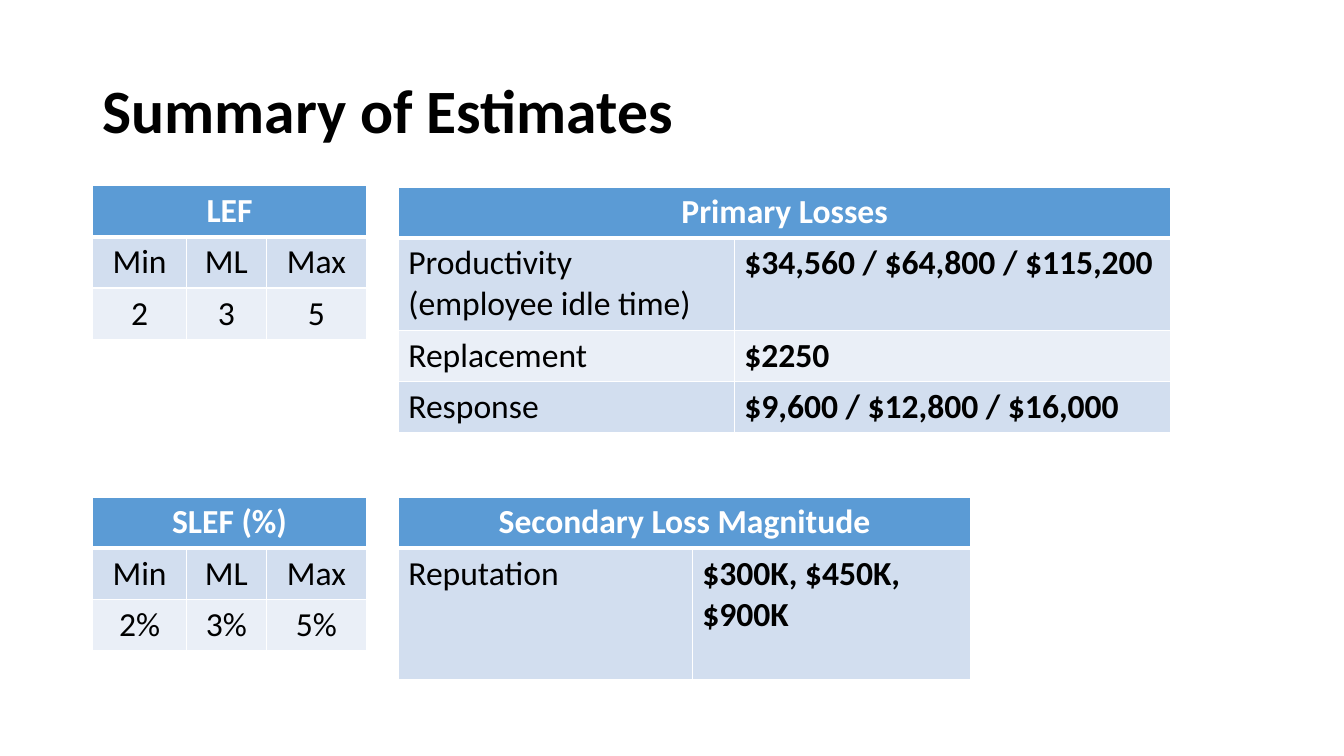
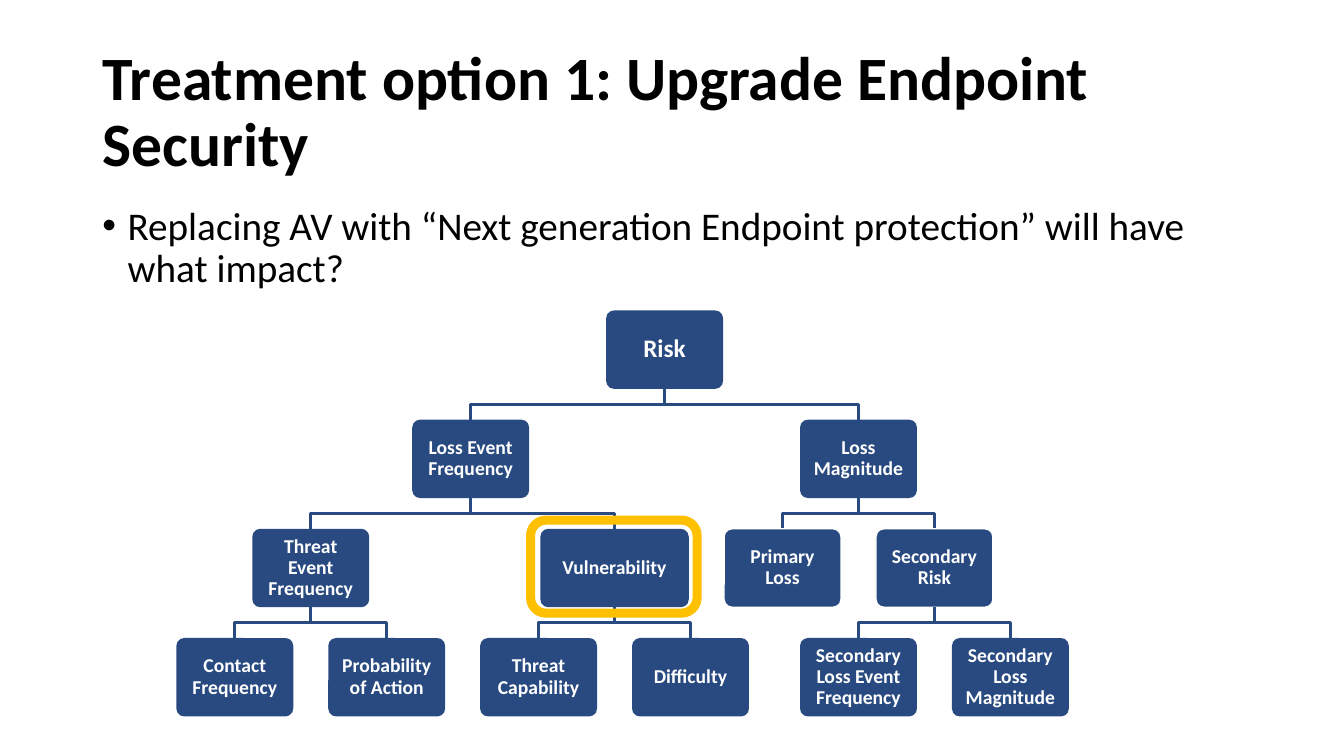
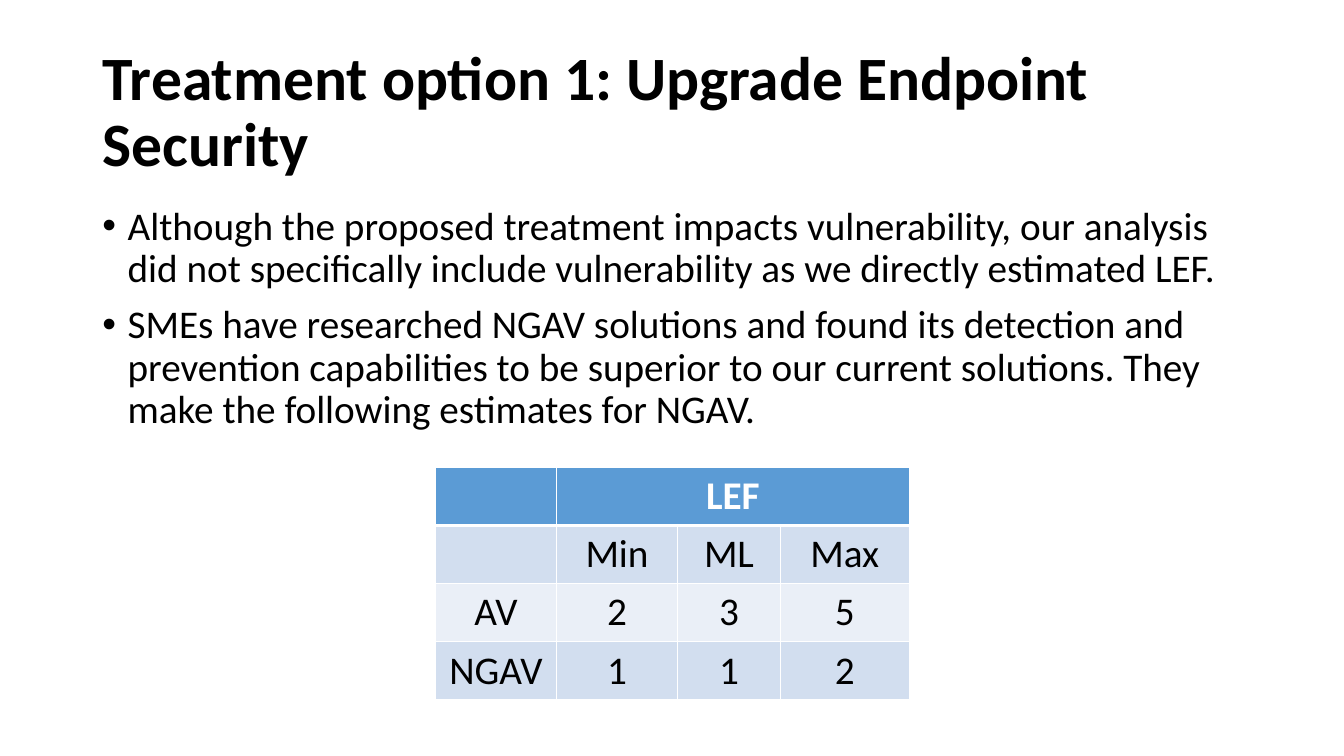
from lxml.etree import SubElement
from pptx import Presentation
from pptx.dml.color import RGBColor
from pptx.enum.shapes import MSO_SHAPE
from pptx.enum.text import MSO_ANCHOR, MSO_AUTO_SIZE, PP_ALIGN
from pptx.oxml.ns import qn
from pptx.util import Pt

NAVY, GOLD, BLUE = "294A80", "FFC000", "5B9BD5"
BANDS = ["EAEFF7", "D2DEEF"]
WHITE, BLACK = "FFFFFF", "000000"


def color(target, value):
    target.rgb = RGBColor.from_string(value)


def write(frame, text, ink, frame_format, para_format, font_format):
    frame.text = text
    for name, value in frame_format.items():
        setattr(frame, name, value)
    for para in frame.paragraphs:
        for name, value in para_format.items():
            setattr(para, name, value)
        for span in para.runs:
            for name, value in font_format.items():
                setattr(span.font, name, value)
            color(span.font.color, ink)


deck = Presentation()
deck.slide_width, deck.slide_height = Pt(960), Pt(540)

TREATMENT = "Treatment option 1: Upgrade Endpoint Security"
pages = [
    ("Summary of Estimates", []),
    (TREATMENT, ["Replacing AV with “Next generation Endpoint protection” will have what impact?"]),
    (TREATMENT, [
        "Although the proposed treatment impacts vulnerability, our analysis did not specifically "
        "include vulnerability as we directly estimated LEF.",
        "SMEs have researched NGAV solutions and found its detection and prevention capabilities "
        "to be superior to our current solutions. They make the following estimates for NGAV.",
    ]),
]

TITLE_PLACE = {"left": Pt(66), "top": Pt(28.75), "width": Pt(828), "height": Pt(104.4)}
BODY_PLACE = {"left": Pt(66), "top": Pt(143.75), "width": Pt(828), "height": Pt(342.6)}
TITLE_FRAME = {"vertical_anchor": MSO_ANCHOR.MIDDLE, "auto_size": MSO_AUTO_SIZE.NONE, "word_wrap": True}
BODY_FRAME = {**TITLE_FRAME, "vertical_anchor": MSO_ANCHOR.TOP}
LEFT_PARA = {"alignment": PP_ALIGN.LEFT, "line_spacing": 0.9, "space_before": Pt(0)}

for title, bullets in pages:
    page = deck.slides.add_slide(deck.slide_layouts[1 if bullets else 5])
    for name, value in TITLE_PLACE.items():
        setattr(page.shapes.title, name, value)
    write(page.shapes.title.text_frame, title, BLACK, TITLE_FRAME, LEFT_PARA,
          {"name": "Calibri", "size": Pt(44), "bold": True})
    if bullets:
        body = page.placeholders[1]
        for name, value in BODY_PLACE.items():
            setattr(body, name, value)
        write(body.text_frame, "\n".join(bullets), BLACK, BODY_FRAME, LEFT_PARA,
              {"name": "Calibri", "size": Pt(28)})
        for index, para in enumerate(body.text_frame.paragraphs):
            properties = para._p.get_or_add_pPr()
            properties.set("marL", str(Pt(18)))
            properties.set("indent", str(-Pt(18)))
            if index:
                para.space_before = Pt(10)

summary, treatment, estimates = deck.slides

LEVELS = ["Min", "ML", "Max"]
LEVEL_WIDTHS = [67, 57, 71.5]
tables = [
    {"page": summary, "at": (284.5, 133.5), "size": 24, "columns": [240, 312], "rows": [36.5, 65.5, 36.5, 36.5],
     "losses": True, "cells": [
         ["Primary Losses", ""],
         ["Productivity\n(employee idle time)", "$34,560 / $64,800 / $115,200"],
         ["Replacement", "$2250"],
         ["Response", "$9,600 / $12,800 / $16,000"]]},
    {"page": summary, "at": (66.25, 132.75), "size": 24, "columns": LEVEL_WIDTHS, "rows": [36.5] * 3,
     "cells": [["LEF", "", ""], LEVELS, ["2", "3", "5"]]},
    {"page": summary, "at": (66.25, 355), "size": 24, "columns": LEVEL_WIDTHS, "rows": [36.5] * 3,
     "cells": [["SLEF (%)", "", ""], LEVELS, ["2%", "3%", "5%"]]},
    {"page": summary, "at": (284.5, 355), "size": 24, "columns": [210, 199], "rows": [36.5, 94],
     "losses": True, "cells": [["Secondary Loss Magnitude", ""], ["Reputation", "$300K, $450K, $900K"]]},
    {"page": estimates, "at": (311, 334), "size": 28, "columns": [86.5, 86.5, 73.5, 92], "rows": [41.4] * 4,
     "merge_from": 1, "cells": [
         ["", "LEF", "", ""], ["", *LEVELS], ["AV", "2", "3", "5"], ["NGAV", "1", "1", "2"]]},
]

for entry in tables:
    cells, columns, rows = entry["cells"], entry["columns"], entry["rows"]
    left, top = entry["at"]
    losses = entry.get("losses", False)
    table = entry["page"].shapes.add_table(
        len(rows), len(columns), Pt(left), Pt(top), Pt(sum(columns)), Pt(sum(rows))).table
    for column, width in zip(table.columns, columns):
        column.width = Pt(width)
    for row, height in zip(table.rows, rows):
        row.height = Pt(height)
    table.cell(0, entry.get("merge_from", 0)).merge(table.cell(0, len(columns) - 1))
    for row_index, texts in enumerate(cells):
        header = row_index == 0
        for column_index, text in enumerate(texts):
            cell = table.cell(row_index, column_index)
            centred = header or not losses
            write(cell.text_frame, text, WHITE if header else BLACK, {},
                  {"alignment": PP_ALIGN.CENTER if centred else PP_ALIGN.LEFT},
                  {"name": "Calibri", "size": Pt(entry["size"]),
                   "bold": header or (losses and column_index == 1)})
            properties = cell._tc.get_or_add_tcPr()
            widths = {"lnL": 1, "lnR": 1, "lnT": 3 if row_index == 1 else 1, "lnB": 3 if header else 1}
            for side, width in widths.items():
                border = SubElement(properties, qn("a:" + side), w=str(Pt(width)))
                SubElement(SubElement(border, qn("a:solidFill")), qn("a:srgbClr"), val=WHITE)
            cell.fill.solid()
            color(cell.fill.fore_color, BLUE if header else BANDS[row_index % 2])

BOX_WIDTH, BOX_HEIGHT, WIDE_BOX = 83.5, 56, 106
TREE_TOP, LEVEL_PITCH = 221.75, 78
nodes = {
    "Risk": (474.75, 0, None),
    "Loss Event Frequency": (336.25, 1, "Risk"),
    "Loss Magnitude": (613.25, 1, "Risk"),
    "Threat Event Frequency": (222, 2, "Loss Event Frequency"),
    "Vulnerability": (439, 2, "Loss Event Frequency"),
    "Primary Loss": (559, 2, "Loss Magnitude"),
    "Secondary Risk": (667.5, 2, "Loss Magnitude"),
    "Contact Frequency": (167.75, 3, "Threat Event Frequency"),
    "Probability of Action": (276.25, 3, "Threat Event Frequency"),
    "Threat Capability": (384.75, 3, "Vulnerability"),
    "Difficulty": (493.25, 3, "Vulnerability"),
    "Secondary Loss Event Frequency": (613.25, 3, "Secondary Risk"),
    "Secondary Loss Magnitude": (721.75, 3, "Secondary Risk"),
}
BOX_FRAME = {"word_wrap": True, "vertical_anchor": MSO_ANCHOR.MIDDLE, "margin_left": Pt(6),
             "margin_right": Pt(6), "margin_top": Pt(4), "margin_bottom": Pt(4)}

for label, (centre, level, parent) in nodes.items():
    top = TREE_TOP + level * LEVEL_PITCH
    if parent:
        start = top - LEVEL_PITCH + BOX_HEIGHT
        middle = (start + top) / 2
        parent_centre = nodes[parent][0]
        builder = treatment.shapes.build_freeform(Pt(parent_centre), Pt(start))
        builder.add_line_segments(
            [(Pt(parent_centre), Pt(middle)), (Pt(centre), Pt(middle)), (Pt(centre), Pt(top))], close=False)
        branch = builder.convert_to_shape()
        branch.shadow.inherit = False
        branch.fill.background()
        branch.line.width = Pt(2.25)
        color(branch.line.color, NAVY)
    width = WIDE_BOX if label == "Vulnerability" else BOX_WIDTH
    box = treatment.shapes.add_shape(
        MSO_SHAPE.ROUNDED_RECTANGLE, Pt(centre - width / 2), Pt(top), Pt(width), Pt(BOX_HEIGHT))
    box.adjustments[0] = 0.1
    box.shadow.inherit = False
    box.fill.solid()
    color(box.fill.fore_color, NAVY)
    if label in ("Primary Loss", "Secondary Risk"):
        box.line.width = Pt(1)
        color(box.line.color, WHITE)
    else:
        box.line.fill.background()
    write(box.text_frame, label, WHITE, BOX_FRAME, {"alignment": PP_ALIGN.CENTER, "line_spacing": 0.9},
          {"name": "Calibri", "size": Pt(14 if parent else 18), "bold": True})

highlight = treatment.shapes.add_shape(
    MSO_SHAPE.ROUNDED_RECTANGLE, Pt(379), Pt(371.5), Pt(119), Pt(66.5))
highlight.shadow.inherit = False
highlight.fill.background()
highlight.line.width = Pt(6.5)
color(highlight.line.color, GOLD)

deck.save("out.pptx")
